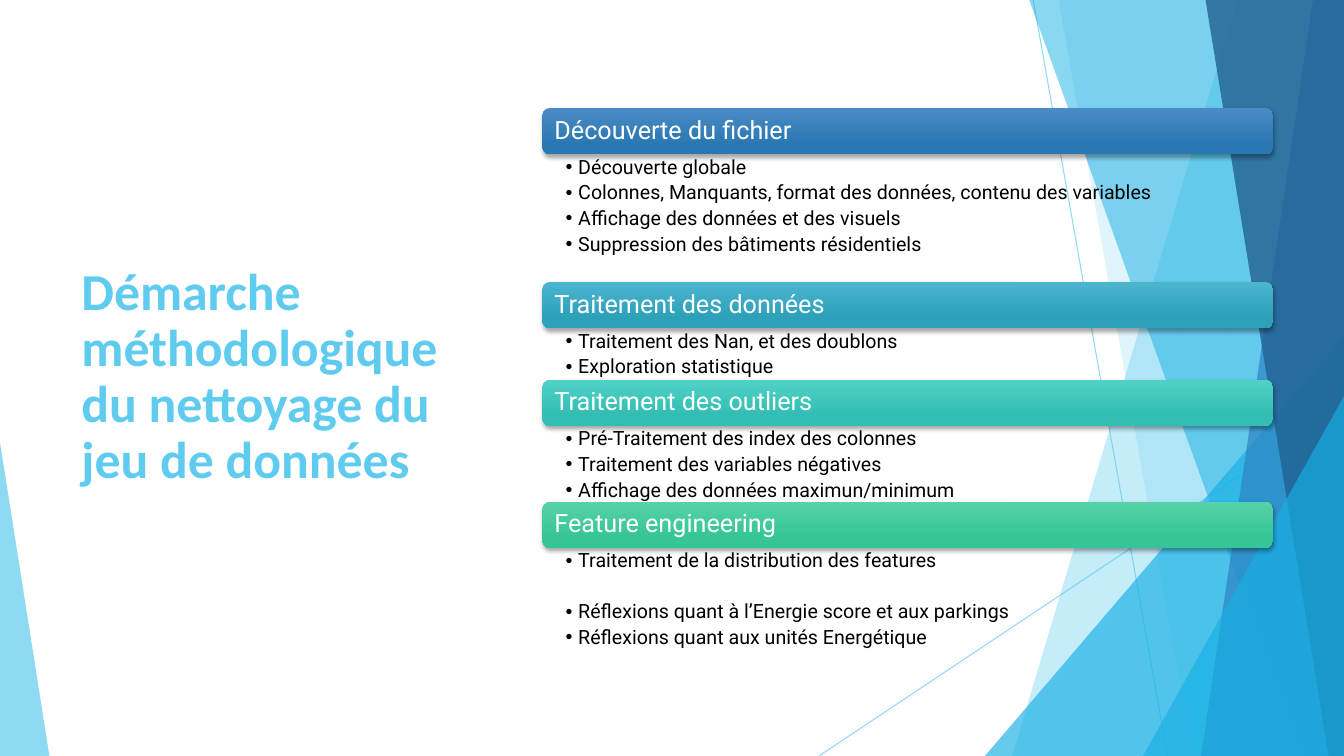
from typing import NamedTuple

from lxml import etree
from pptx import Presentation
from pptx.dml.color import RGBColor
from pptx.enum.shapes import MSO_CONNECTOR, MSO_SHAPE
from pptx.enum.text import MSO_ANCHOR, MSO_AUTO_SIZE, PP_ALIGN
from pptx.oxml.ns import qn
from pptx.util import Pt

LEFT = PP_ALIGN.LEFT
TOP, MIDDLE = MSO_ANCHOR.TOP, MSO_ANCHOR.MIDDLE
NO_FIT = MSO_AUTO_SIZE.NONE
STRAIGHT = MSO_CONNECTOR.STRAIGHT
TRIANGLE = MSO_SHAPE.ISOSCELES_TRIANGLE
ROUNDED = MSO_SHAPE.ROUNDED_RECTANGLE

WIDE, HIGH = 960, 540
BAR_X, BAR_Y, BAR_W, BAR_H = 387.4, 77.1, 522, 33.1
ROW = 18  # height of one list line with its gap
COLORS = {
    "sky": "5FCBEF", "cyan": "17B0E4", "blue": "2E83C3", "navy": "226292",
    "white": "FFFFFF", "black": "000000",
}


class Ray(NamedTuple):
    x1: float
    y1: float
    x2: float
    y2: float


class Band(NamedTuple):
    """Sloping band from the right edge, given by its top and foot corners."""
    top: float
    foot: float
    color: str
    alpha: int


class Wedge(NamedTuple):
    x: float
    y: float
    w: float
    tip: float
    color: str
    alpha: int


class Part(NamedTuple):
    head: str
    light: str
    dark: str
    high: float
    items: list[str]
    gaps: tuple[int, ...] = ()  # items with an empty line above


RAYS = [Ray(738, 0, 834, HIGH), Ray(WIDE, 290, 585, HIGH)]
DECOR = [
    Band(884, 723, "sky", 36),
    Band(756, 852, "sky", 20),
    Wedge(703.5, 240, 256.5, 1, "cyan", 66),
    Band(735, 929.5, "cyan", 50),
    Band(938, 858, "blue", 70),
    Band(861, 949, "navy", 80),
    Wedge(816.5, 283, 143.5, 1, "cyan", 66),
    Wedge(0, 316, 35.3, 0, "sky", 70),
]
PARTS = [
    Part("Découverte du fichier", "4A8BC6", "2A78B2", 91.2, [
        "Découverte globale",
        "Colonnes, Manquants, format des données, contenu des variables",
        "Affichage des données et des visuels",
        "Suppression des bâtiments résidentiels"]),
    Part("Traitement des données", "4CB4CE", "2DA1BA", 36.7, [
        "Traitement des Nan, et des doublons",
        "Exploration statistique"]),
    Part("Traitement des outliers", "50D1C6", "33BEB3", 54, [
        "Pré-Traitement des index des colonnes",
        "Traitement des variables négatives",
        "Affichage des données maximun/minimum"]),
    Part("Feature engineering", "56D2A7", "36C596", 72, [
        "Traitement de la distribution des features",
        "Réflexions quant à l’Energie score et aux parkings",
        "Réflexions quant aux unités Energétique"], (1,)),
]


def rgb(name: str) -> RGBColor:
    return RGBColor.from_string(COLORS.get(name, name))


def fade(shape, alpha: int) -> None:
    color = next(shape.element.iter(qn("a:srgbClr")))
    etree.SubElement(color, qn("a:alpha"), val=str(alpha * 1000))


def place(shape, x: float, y: float, w: float, h: float) -> None:
    shape.left, shape.top, shape.width, shape.height = map(Pt, (x, y, w, h))
    # Bring to the front
    shape.element.getparent().append(shape.element)


def frame(shape, anchor, left: float, top: float, right: float):
    text = shape.text_frame
    text.word_wrap, text.auto_size = True, NO_FIT
    text.vertical_anchor = anchor
    text.margin_left, text.margin_right = Pt(left), Pt(right)
    text.margin_top = text.margin_bottom = Pt(top)
    return text


def style(para, face: str, size: float, color: str, bold: bool = False) -> None:
    para.alignment, para.line_spacing = LEFT, 0.9
    para.space_before = Pt(0)
    for run in para.runs:
        run.font.name, run.font.size = face, Pt(size)
        run.font.bold, run.font.color.rgb = bold, rgb(color)


def draw_ray(shapes, ray: Ray) -> None:
    line = shapes.add_connector(STRAIGHT, *map(Pt, ray))
    line.line.color.rgb, line.line.width = rgb("sky"), Pt(0.75)
    fade(line, 70)
    etree.SubElement(line.element.spPr, qn("a:effectLst"))


def draw_decor(shapes, item: Band | Wedge) -> None:
    if isinstance(item, Band):
        path = shapes.build_freeform(Pt(item.top), Pt(-0.6), scale=1)
        path.add_line_segments([
            (Pt(WIDE), Pt(-0.6)), (Pt(WIDE), Pt(HIGH)), (Pt(item.foot), Pt(HIGH))])
        shape = path.convert_to_shape()
    else:
        shape = shapes.add_shape(
            TRIANGLE, Pt(item.x), Pt(item.y), Pt(item.w), Pt(HIGH - item.y))
        shape.adjustments[0] = item.tip
    shape.shadow.inherit = False
    shape.fill.solid()
    shape.fill.fore_color.rgb = rgb(item.color)
    shape.line.fill.background()
    fade(shape, item.alpha)


def draw_bar(shapes, part: Part, y: float) -> None:
    bar = shapes.add_shape(ROUNDED, Pt(BAR_X), Pt(y), Pt(BAR_W), Pt(BAR_H))
    bar.line.fill.background()
    bar.fill.gradient()
    bar.fill.gradient_angle = 270
    for stop, color, pos in zip(
            bar.fill.gradient_stops, (part.light, part.dark), (0, 0.78)):
        stop.color.rgb, stop.position = rgb(color), pos
    # Soft shadow below the bar
    bar.shadow.inherit = False
    glow = etree.SubElement(
        bar.element.spPr.find(qn("a:effectLst")), qn("a:outerShdw"),
        blurRad=str(Pt(3)), dist=str(Pt(2)), dir="5400000", rotWithShape="0")
    color = etree.SubElement(glow, qn("a:srgbClr"), val=COLORS["black"])
    etree.SubElement(color, qn("a:alpha"), val="35000")
    text = frame(bar, MIDDLE, 7, 5, 7)
    text.text = part.head
    style(text.paragraphs[0], "Roboto", 18, "white")


def draw_list(body, part: Part, y: float) -> None:
    place(body, BAR_X, y, BAR_W, part.high)
    text = frame(body, TOP, 16.6, 2, 10)
    text.text = "\n".join(part.items)
    for i, para in enumerate(text.paragraphs):
        para.level = 1
        props = para._p.get_or_add_pPr()
        props.set("marL", str(Pt(9)))
        props.set("indent", str(Pt(-9)))
        etree.SubElement(props, qn("a:buChar"), char="•")
        style(para, "Roboto", 14, "black")
        para.space_after = Pt(3.3)
        if i in part.gaps:
            para.space_before = Pt(ROW)


def main() -> None:
    deck = Presentation()
    deck.slide_width, deck.slide_height = Pt(WIDE), Pt(HIGH)
    # Comparison layout: a title and four bodies
    slide = deck.slides.add_slide(deck.slide_layouts[4])
    title, *bodies = slide.placeholders

    # Backdrop
    for ray in RAYS:
        draw_ray(slide.shapes, ray)
    for item in DECOR:
        draw_decor(slide.shapes, item)

    # Title
    place(title, 51, 108.7, 279.4, 322.6)
    text = frame(title, MIDDLE, 7.2, 3.6, 7.2)
    text.text = "Démarche méthodologique du nettoyage du jeu de données"
    style(text.paragraphs[0], "Calibri", 37, "sky", True)

    # Stacked bars, each with its list
    y = BAR_Y
    for part, body in zip(PARTS, bodies):
        draw_bar(slide.shapes, part, y)
        draw_list(body, part, y + BAR_H)
        y += BAR_H + part.high

    deck.save("out.pptx")


if __name__ == "__main__":
    main()
